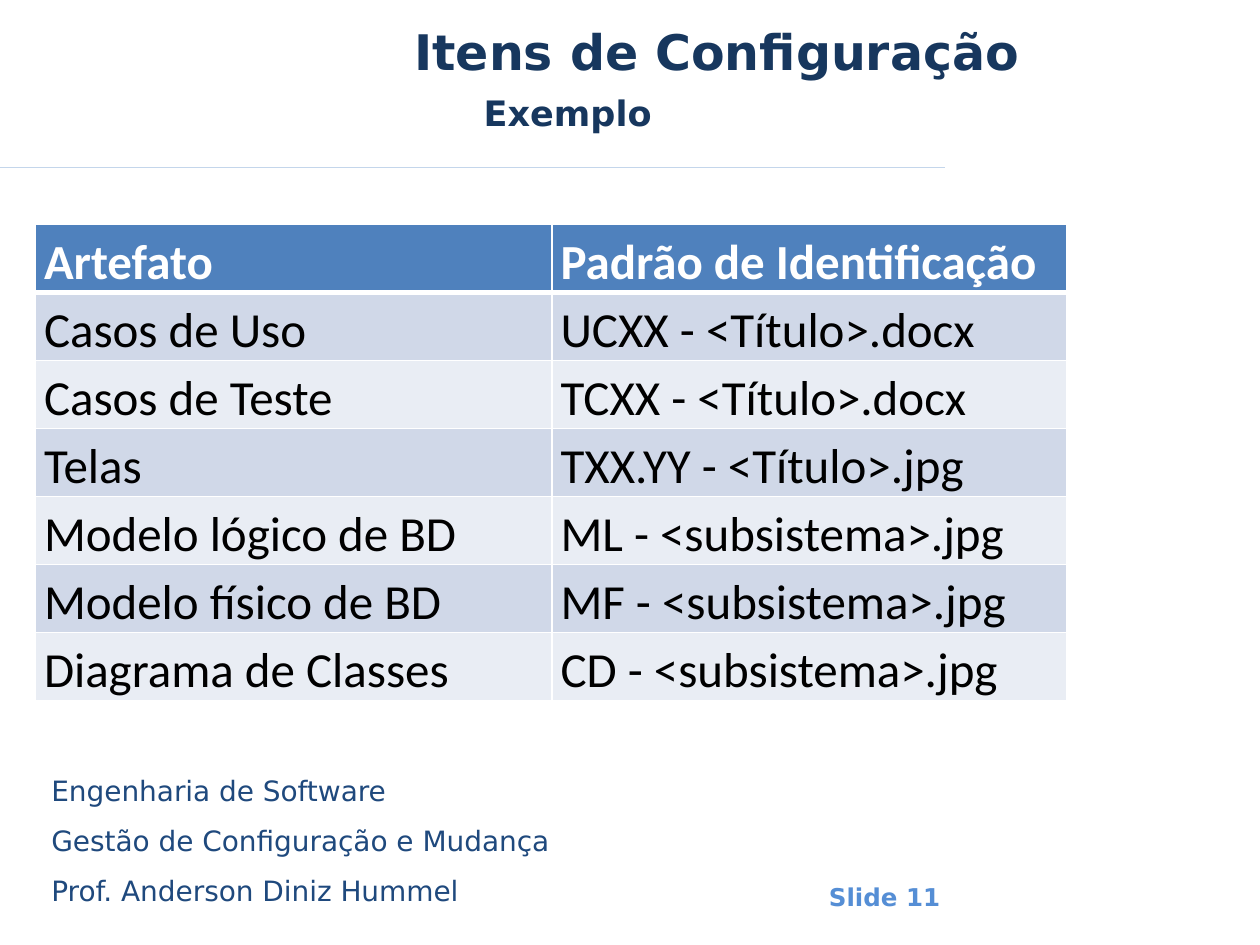
from lxml import etree
from pptx import Presentation
from pptx import util as u
from pptx.dml.color import RGBColor
from pptx.enum import shapes, text
from pptx.oxml.ns import qn

COLORS = {
    "rule": "C4D6EB", "number": "558ED5", "footer": "1F497D", "title": "17375E",
    "header": "4F81BD", "odd": "D0D8E8", "even": "E9EDF4",
    "white": "FFFFFF", "black": "000000",
}
HEADING_FONT, TABLE_FONT = "DejaVu Sans", "Calibri"

TITLE = "Itens de Configuração"
SUBTITLE = "Exemplo"
SLIDE_NUMBER = "Slide 11"
FOOTER = [
    "Engenharia de Software",
    "Gestão de Configuração e Mudança",
    "Prof. Anderson Diniz Hummel",
]
ARTIFACTS = [
    ("Artefato", "Padrão de Identificação"),
    ("Casos de Uso", "UCXX - <Título>.docx"),
    ("Casos de Teste", "TCXX - <Título>.docx"),
    ("Telas", "TXX.YY - <Título>.jpg"),
    ("Modelo lógico de BD", "ML - <subsistema>.jpg"),
    ("Modelo físico de BD", "MF - <subsistema>.jpg"),
    ("Diagrama de Classes", "CD - <subsistema>.jpg"),
]
COLUMN_WIDTHS = (4.1, 4.09)
ROW_HEIGHT = 0.54


def color(name):
    return RGBColor.from_string(COLORS[name])


def style(paragraph, font_name, size, color_name, bold=False):
    font = paragraph.font
    font.name, font.size, font.bold = font_name, u.Pt(size), bold
    font.color.rgb = color(color_name)


def add_label(slide, words, box, size, color_name, bold=True,
              anchor=text.MSO_ANCHOR.TOP):
    frame = slide.shapes.add_textbox(*map(u.Inches, box)).text_frame
    frame.word_wrap = True
    frame.vertical_anchor = anchor
    frame.text = words
    style(frame.paragraphs[0], HEADING_FONT, size, color_name, bold)


def add_borders(cell, bottom):
    properties = cell._tc.get_or_add_tcPr()
    for side, width in (("L", 1), ("R", 1), ("T", 1), ("B", bottom)):
        border = etree.SubElement(properties, qn(f"a:ln{side}"), w=str(u.Pt(width)))
        fill = etree.SubElement(border, qn("a:solidFill"))
        etree.SubElement(fill, qn("a:srgbClr"), val=COLORS["white"])


def add_artifact_table(slide):
    table = slide.shapes.add_table(
        len(ARTIFACTS), len(COLUMN_WIDTHS), u.Inches(0.28), u.Inches(1.78),
        u.Inches(sum(COLUMN_WIDTHS)), u.Inches(ROW_HEIGHT * len(ARTIFACTS))).table
    for column, width in zip(table.columns, COLUMN_WIDTHS):
        column.width = u.Inches(width)
    for i, artifact in enumerate(ARTIFACTS):
        is_header = i == 0
        fill = "header" if is_header else "odd" if i % 2 else "even"
        for j, words in enumerate(artifact):
            cell = table.cell(i, j)
            cell.margin_left = cell.margin_right = u.Inches(0.07)
            cell.margin_top = cell.margin_bottom = 0
            cell.text = words
            paragraph = cell.text_frame.paragraphs[0]
            paragraph.line_spacing = 1.15
            style(paragraph, TABLE_FONT, 28, "white" if is_header else "black", is_header)
            add_borders(cell, 3 if is_header else 1)
            cell.fill.solid()
            cell.fill.fore_color.rgb = color(fill)


def main():
    deck = Presentation()
    deck.slide_width, deck.slide_height = u.Inches(10), u.Inches(7.5)
    slide = deck.slides.add_slide(deck.slide_layouts[6])

    rule = slide.shapes.add_connector(
        shapes.MSO_CONNECTOR.STRAIGHT, 0, u.Inches(1.33), u.Inches(7.5), u.Inches(1.33))
    rule.line.color.rgb = color("rule")
    rule.line.width = u.Pt(0.75)
    etree.SubElement(rule._element.spPr, qn("a:effectLst"))

    middle = text.MSO_ANCHOR.MIDDLE
    add_label(slide, SLIDE_NUMBER, (6.48, 6.95, 1.41, 0.34), 14, "number", anchor=middle)
    for i, words in enumerate(FOOTER):
        add_label(slide, words, (0.31, 6.09 + 0.395 * i, 5.47, 0.39), 16, "footer", bold=False)
    add_label(slide, TITLE, (3.19, 0.13, 6.69, 0.55), 28, "title", anchor=middle)
    add_artifact_table(slide)
    add_label(slide, SUBTITLE, (3.74, 0.68, 6.06, 0.63), 20, "title")

    deck.save("out.pptx")


if __name__ == "__main__":
    main()
